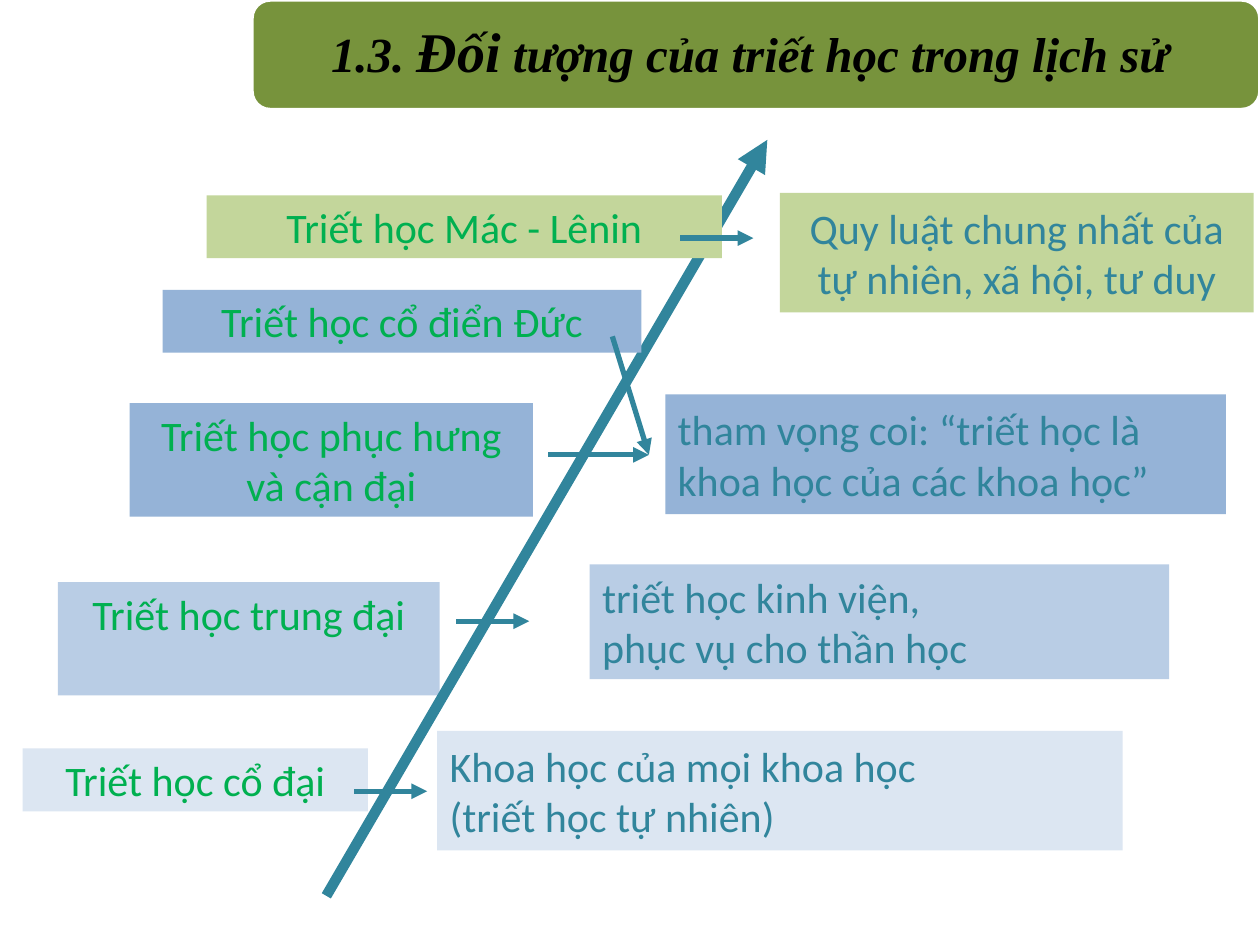
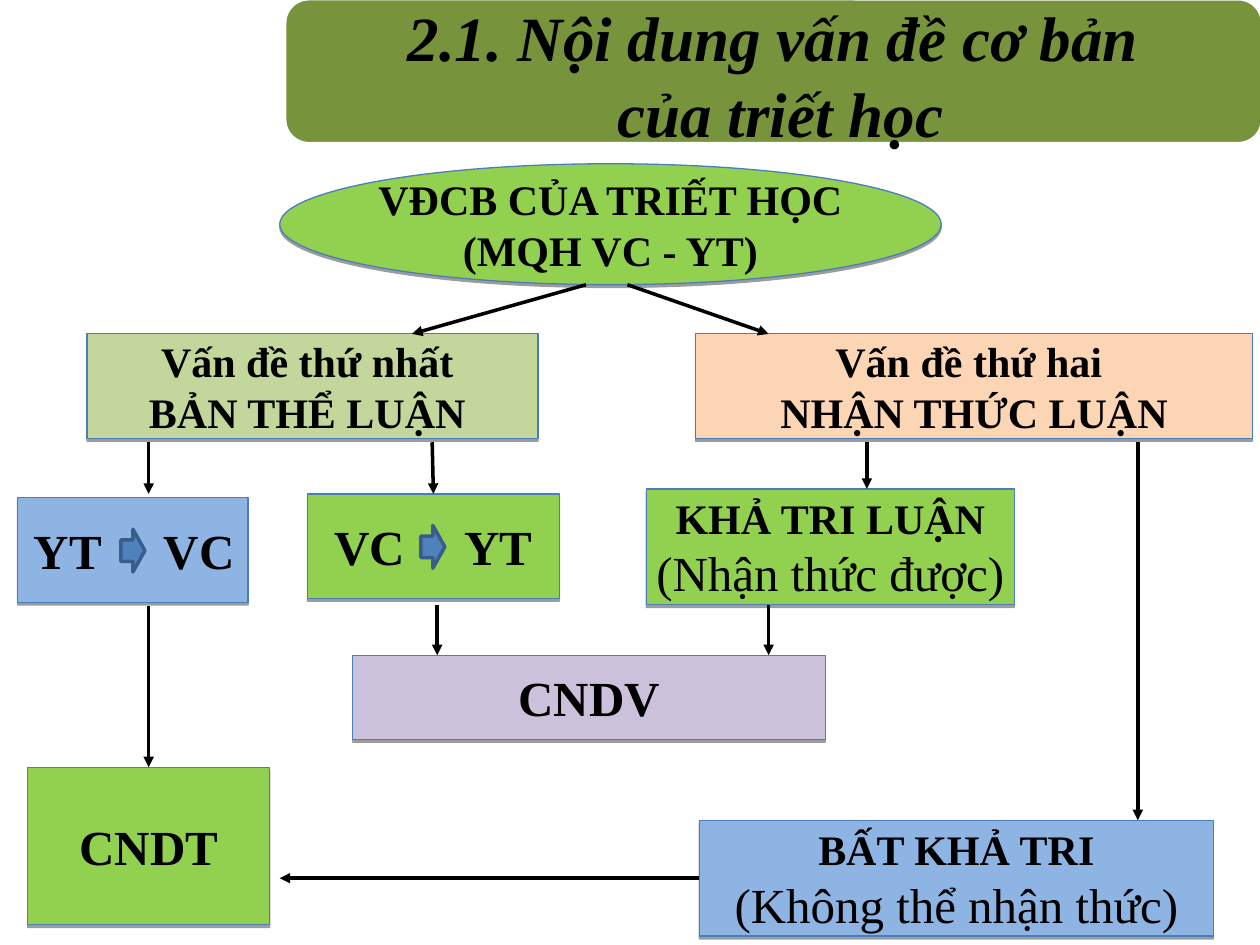
from lxml.etree import SubElement
from pptx import Presentation
from pptx.dml.color import RGBColor
from pptx.enum.shapes import MSO_CONNECTOR as Connector, MSO_SHAPE as Shape
from pptx.enum.text import MSO_ANCHOR as Anchor, MSO_AUTO_SIZE as AutoSize, PP_ALIGN as Align
from pptx.oxml.ns import qn
from pptx.util import Inches, Pt

COLORS = {
    "band": "77933C", "white": "FFFFFF", "black": "000000", "teal": "31859C",
    "era": "00B050", "ice": "DCE6F2", "sky": "B9CDE5", "steel": "95B3D7",
    "olive": "C3D69B", "lime": "92D050", "blue": "8EB4E3", "peach": "FCD5B5",
    "lilac": "CCC1DA", "edge": "4A7EBB", "mark": "4F81BD", "mark_edge": "385D8A",
}
SANS, SERIF = "Calibri", "Times New Roman"

# Places are (left, top, width, height) on a grid of 100 columns by 75 rows
COLUMNS, ROWS = 100, 75
CELL = Inches(0.1)

# Slide 1: each era of philosophy and what it studied
HISTORY_TITLE = {
    "band": (20, 0, 80, 8.7), "text": (20.4, 0.4, 79.2, 7.9), "spacing": 0.9,
    "lines": [[("1.3. ", 28), ("Đối", 32), (" tượng của triết học trong lịch sử ", 28)]],
}
ERAS = [  # oldest first
    ("Triết học cổ đại", "ice", (1.8, 59.4, 27.4, 5)),
    ("Triết học trung đại", "sky", (4.6, 46.2, 30.3, 9)),
    ("Triết học phục hưng và cận đại", "steel", (10.3, 32, 32, 9)),
    ("Triết học cổ điển Đức", "steel", (12.9, 23, 38, 5)),
    ("Triết học Mác - Lênin", "olive", (16.4, 15.5, 40.9, 5)),
]
ERAS_BEHIND_AXIS = 2
SUBJECTS = [
    (["Khoa học của mọi khoa học", "(triết học tự nhiên)"], "ice", Align.LEFT, (34.7, 58, 54.4, 9.5)),
    (["triết học kinh viện,", "phục vụ cho thần học"], "sky", Align.LEFT, (46.8, 44.8, 46, 9.1)),
    (["tham vọng coi: “triết học là khoa học của các khoa học”"], "steel", Align.LEFT,
     (52.8, 31.3, 44.5, 9.5)),
    (["Quy luật chung nhất của tự nhiên, xã hội, tư duy"], "olive", Align.CENTER,
     (61.9, 15.3, 37.6, 9.5)),
]
TIME_AXIS = (25.9, 71.1, 60.9, 11.1)
ERA_ARROWS = [  # from x, y to x, y
    (28.1, 62.8, 33.9, 62.8), (36.2, 49.3, 42, 49.3), (43.5, 36.1, 51.5, 36.1),
    (48.6, 26.7, 51.5, 36.1), (54, 18.9, 59.8, 18.9),
]

# Slide 2: the two sides of the basic question
QUESTION_TITLE = {
    "band": (22.6, -0.1, 77.6, 11.5), "text": (24.3, 0.4, 75.3, 11), "spacing": 1,
    "lines": [[("2.1. Nội dung vấn đề cơ bản ", 36)], [("của triết học", 36)]],
}
NODES = {  # name: (fill, place, lines of (text, size, bold))
    "ontology": ("olive", (6.9, 26.5, 35.8, 8.3),
                 [("Vấn đề thứ nhất ", 24, True), ("BẢN THỂ LUẬN ", 24, True)]),
    "knowledge": ("peach", (55.2, 26.5, 44.2, 8.3),
                  [("Vấn đề thứ hai ", 24, True), ("NHẬN THỨC LUẬN", 24, True)]),
    "mind first": ("blue", (1.4, 39.5, 18.3, 8.3), [("YT\tVC", 28, True)]),
    "matter first": ("lime", (24.4, 39.2, 20, 8.3), [("VC\tYT", 28, True)]),
    "question": ("lime", (22.2, 13, 52.5, 9.6),
                 [("VĐCB CỦA TRIẾT HỌC", 24, True), ("(MQH VC - YT)", 24, True)]),
    "knowable": ("lime", (51.3, 38.8, 29.2, 9.2),
                 [("KHẢ TRI LUẬN", 24, True), ("(Nhận thức được)", 28, False)]),
    "idealism": ("lime", (2.2, 60.9, 19.2, 12.5), [("CNDT", 28, True)]),
    "unknowable": ("blue", (55.5, 65.1, 40.8, 9.2),
                   [("BẤT KHẢ TRI", 24, True), ("(Không thể nhận thức)", 28, False)]),
    "materialism": ("lilac", (28, 52, 37.5, 6.7), [("CNDV", 28, True)]),
}
PAIR_WIDTH, PAIR_TAB = 15.7, 10.3  # a pair of terms, and where its second term starts
PAIR_MARKS = [(9.6, 42, 1.9, 3.4), (33.4, 41.7, 1.9, 3.4)]
LINKS = [  # ends, then the node joined at the start and at the end with its side
    ((49.8, 22.6, 61, 26.5), None, None),
    ((46.5, 22.6, 32.7, 26.5), None, None),
    ((90.3, 35.1, 90.3, 65.1), None, None),
    ((68.8, 35.1, 68.8, 38.8), None, None),
    ((34.3, 35.1, 34.4, 39.2), None, ("matter first", 0)),
    ((11.8, 35.1, 11.8, 39.2), None, None),
    ((34.7, 48, 34.7, 52), None, None),
    ((61, 48, 61, 52), None, None),
    ((11.8, 48.1, 11.8, 60.9), None, ("idealism", 0)),
    ((55.5, 69.7, 22.2, 69.7), ("unknowable", 1), None),
]


def color(name):
    return RGBColor.from_string(COLORS[name])


def cells(place):
    return [round(value * CELL) for value in place]


def add_box(page, place, fill, kind=Shape.RECTANGLE, edge=None, width=0.75):
    box = page.shapes.add_shape(kind, *cells(place))
    box.shadow.inherit = False
    box.fill.solid()
    box.fill.fore_color.rgb = color(fill)
    if edge:
        box.line.color.rgb = color(edge)
        box.line.width = Pt(width)
    else:
        box.line.fill.background()
    return box


def add_span(para, text, size, ink, face, bold=False, italic=False):
    span = para.add_run()
    span.text = text
    font = span.font
    font.size, font.name, font.bold, font.italic = Pt(size), face, bold, italic
    font.color.rgb = color(ink)


def add_paras(frame, count, align):
    """Yield the paragraphs of a frame, all aligned alike."""
    for index in range(count):
        para = frame.add_paragraph() if index else frame.paragraphs[0]
        para.alignment = align
        yield para


def add_arrow(page, ends, ink, width):
    arrow = page.shapes.add_connector(Connector.STRAIGHT, *cells(ends))
    arrow.line.color.rgb = color(ink)
    arrow.line.width = Pt(width)
    SubElement(arrow.line._get_or_add_ln(), qn("a:tailEnd"), type="triangle")
    SubElement(arrow.element.spPr, qn("a:effectLst"))
    return arrow


def add_shadow(box):
    effects = box.element.spPr.find(qn("a:effectLst"))
    shadow = SubElement(effects, qn("a:outerShdw"), blurRad="0", dist=str(Pt(1.6)),
                        dir="5400000", rotWithShape="0")
    black = SubElement(shadow, qn("a:srgbClr"), val=COLORS["black"])
    SubElement(black, qn("a:alpha"), val="38000")


def add_title(page, content):
    """Draw the green band and put the title placeholder over it."""
    add_box(page, content["band"], "band", Shape.ROUNDED_RECTANGLE, "white", 2)
    title = page.shapes.title
    page.shapes.element.append(title.element)
    title.left, title.top, title.width, title.height = cells(content["text"])
    frame = title.text_frame
    frame.auto_size, frame.word_wrap = AutoSize.NONE, True
    frame.vertical_anchor = Anchor.MIDDLE
    frame.margin_left = frame.margin_right = Inches(0.24)
    frame.margin_top = frame.margin_bottom = 0
    lines = content["lines"]
    for para, spans in zip(add_paras(frame, len(lines), Align.CENTER), lines):
        para.line_spacing = content["spacing"]
        for text, size in spans:
            add_span(para, text, size, "black", SERIF, bold=True, italic=True)


def add_label(page, lines, fill, place, ink, align, anchor):
    frame = add_box(page, place, fill).text_frame
    frame.word_wrap, frame.vertical_anchor = True, anchor
    for para, text in zip(add_paras(frame, len(lines), align), lines):
        add_span(para, text, 24, ink, SANS)


def add_node(page, fill, place, lines, kind):
    box = add_box(page, place, fill, kind, "edge")
    add_shadow(box)
    frame = box.text_frame
    frame.word_wrap, frame.vertical_anchor = False, Anchor.MIDDLE
    is_pair = "\t" in lines[0][0]
    align = Align.LEFT if is_pair else Align.CENTER
    for para, (text, size, bold) in zip(add_paras(frame, len(lines), align), lines):
        if is_pair:
            frame.word_wrap = True
            frame.margin_left = round((place[2] - PAIR_WIDTH) / 2 * CELL)
            frame.margin_right = 0
            stops = SubElement(para._p.get_or_add_pPr(), qn("a:tabLst"))
            SubElement(stops, qn("a:tab"), pos=str(round(PAIR_TAB * CELL)), algn="l")
        add_span(para, text, size, "black", SERIF, bold)
    return box


def build_history(page):
    def add_eras(eras):
        for text, fill, place in eras:
            add_label(page, [text], fill, place, "era", Align.CENTER, Anchor.TOP)

    # The time axis runs over the oldest eras and under the later ones
    add_eras(ERAS[:ERAS_BEHIND_AXIS])
    add_arrow(page, TIME_AXIS, "teal", 6)
    add_eras(ERAS[ERAS_BEHIND_AXIS:])
    for lines, fill, align, place in SUBJECTS:
        add_label(page, lines, fill, place, "teal", align, Anchor.MIDDLE)
    for ends in ERA_ARROWS:
        add_arrow(page, ends, "teal", 3)
    add_title(page, HISTORY_TITLE)


def build_question(page):
    add_title(page, QUESTION_TITLE)
    boxes = {}
    for name, (fill, place, lines) in NODES.items():
        kind = Shape.OVAL if name == "question" else Shape.RECTANGLE
        boxes[name] = add_node(page, fill, place, lines, kind)
    for place in PAIR_MARKS:
        add_box(page, place, "mark", Shape.RIGHT_ARROW, "mark_edge", 2)
    # Links between the nodes
    for ends, start, end in LINKS:
        arrow = add_arrow(page, ends, "black", 2)
        if start:
            arrow.begin_connect(boxes[start[0]], start[1])
        if end:
            arrow.end_connect(boxes[end[0]], end[1])


def main():
    deck = Presentation()
    deck.slide_width, deck.slide_height = COLUMNS * CELL, ROWS * CELL
    title_only = deck.slide_layouts[5]
    for build in (build_history, build_question):
        build(deck.slides.add_slide(title_only))
    deck.save("out.pptx")


if __name__ == "__main__":
    main()
